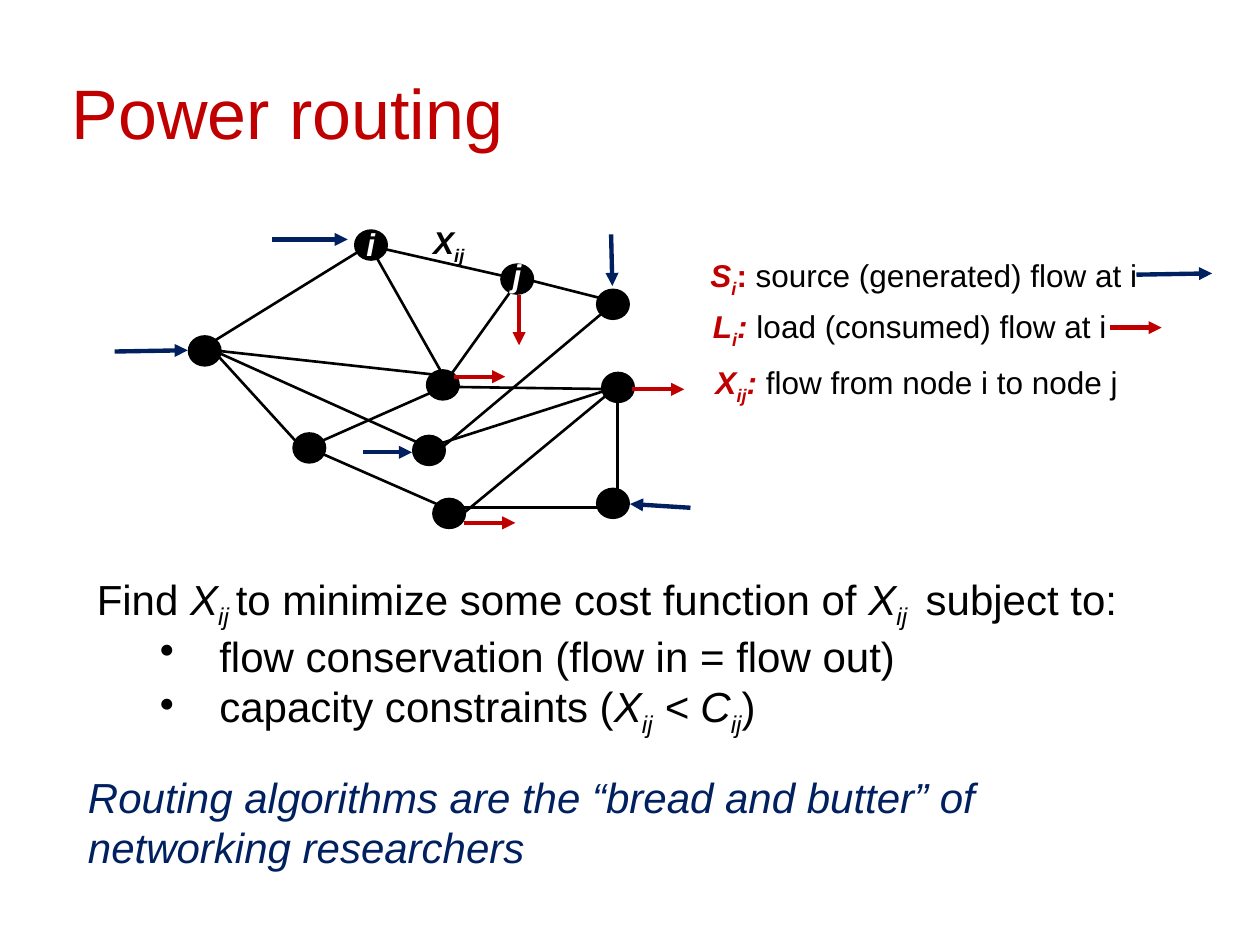
import dataclasses
import typing

import lxml.etree
import pptx
import pptx.dml.color
import pptx.enum.shapes
import pptx.enum.text
import pptx.oxml.ns
import pptx.util

Inches = pptx.util.Inches
Point = tuple[float, float]
Box = tuple[float, float, float, float]

COLORS = {"black": "000000", "white": "FFFFFF", "red": "C00000", "navy": "002060"}
NODE_WIDTH, NODE_HEIGHT = 0.27, 0.25


@dataclasses.dataclass(frozen=True)
class Run:
    text: str
    italic: typing.Optional[bool] = None
    bold: typing.Optional[bool] = None
    color: typing.Optional[str] = None
    subscript: bool = False


@dataclasses.dataclass(frozen=True)
class Paragraph:
    runs: tuple[Run, ...]
    bullet: bool = False


@dataclasses.dataclass(frozen=True)
class Line:
    start: Point
    end: Point
    color: str = "black"
    width: float = 1.5
    arrow: bool = False


@dataclasses.dataclass(frozen=True)
class Legend:
    position: Point
    width: float
    symbol: str
    index: str
    colon: Run
    meaning: str


def arrow(start: Point, end: Point, color: str) -> Line:
    return Line(start, end, color, 2.5, True)


def variable(letter: str, index: str) -> tuple[Run, Run]:
    return Run(letter, italic=True), Run(index, italic=True, subscript=True)


BACK_NODES = [
    (1.49, 2.66), (2.81, 1.82), (3.38, 2.93), (2.32, 3.43),
    (3.43, 3.95), (4.77, 2.95), (3.27, 3.45),
]
FRONT_NODES = [(4.73, 2.29), (4.73, 3.87)]
NODE_J = (3.97, 2.09)

EDGES = [
    Line((1.58, 2.78), (2.97, 1.92)),
    Line((2.89, 1.94), (4.17, 2.23)),
    Line((3.51, 3.07), (4.12, 2.22)),
    Line((3.51, 3.07), (4.97, 3.09)),
    Line((2.97, 2.01), (3.58, 3.09)),
    Line((2.44, 3.55), (3.48, 3.09)),
    Line((1.69, 2.78), (2.41, 3.57)),
    Line((3.61, 4.13), (4.87, 3.09)),
    Line((1.69, 2.78), (3.51, 2.98)),
    Line((1.69, 2.78), (3.4, 3.55)),
    Line((2.44, 3.55), (3.58, 4.05)),
    Line((3.4, 3.55), (4.9, 3.07)),
    Line((3.51, 3.55), (4.87, 2.41)),
    Line((3.51, 4.03), (4.9, 4.03)),
    Line((4.9, 3.07), (4.9, 4.03)),
    Line((4.15, 2.21), (4.9, 2.4)),
]

FLOWS = [
    arrow((0.91, 2.79), (1.49, 2.78), "navy"),
    arrow((2.16, 1.9), (2.76, 1.9), "navy"),
    arrow((2.88, 3.59), (3.27, 3.59), "navy"),
    arrow((4.85, 1.86), (4.86, 2.27), "navy"),
    arrow((5.48, 4.03), (5, 4), "navy"),
    arrow((4.12, 2.34), (4.12, 2.74), "red"),
    arrow((5.02, 3.09), (5.43, 3.09), "red"),
    arrow((3.6, 2.99), (4.01, 2.99), "red"),
    arrow((3.68, 4.15), (4.09, 4.15), "red"),
    arrow((9.02, 2.18), (9.62, 2.17), "navy"),
    arrow((8.81, 2.6), (9.22, 2.6), "red"),
]

LEGENDS = [
    Legend((5.54, 1.98), 3.73, "S", "i", Run(":", italic=False),
           " source (generated) flow at i"),
    Legend((5.56, 2.39), 3.38, "L", "i", Run(": "), "load (consumed) flow at i"),
    Legend((5.58, 2.83), 3.42, "X", "ij", Run(": "), "flow from node i to node j"),
]

PROBLEM = [
    Paragraph((Run("Find "), *variable("X", "ij "),
               Run("to minimize some cost function of "), *variable("X", "ij "),
               Run(" subject to:"))),
    Paragraph((Run(" flow conservation (flow in = flow out)"),), bullet=True),
    Paragraph((Run(" capacity constraints ("), *variable("X", "ij"),
               *variable(" < C", "ij"), Run(")")), bullet=True),
]


def rgb(name: str) -> pptx.dml.color.RGBColor:
    return pptx.dml.color.RGBColor.from_string(COLORS[name])


def add_element(parent, tag: str, **attributes: str) -> None:
    lxml.etree.SubElement(parent, pptx.oxml.ns.qn(tag), attributes)


def add_node(slide, position: Point) -> None:
    shape = slide.shapes.add_shape(
        pptx.enum.shapes.MSO_SHAPE.OVAL,
        *map(Inches, (*position, NODE_WIDTH, NODE_HEIGHT)))
    shape.shadow.inherit = False
    shape.fill.solid()
    shape.fill.fore_color.rgb = rgb("black")
    shape.line.fill.background()


def add_line(slide, line: Line) -> None:
    connector = slide.shapes.add_connector(
        pptx.enum.shapes.MSO_CONNECTOR.STRAIGHT,
        *map(Inches, (*line.start, *line.end)))
    connector.line.color.rgb = rgb(line.color)
    connector.line.width = pptx.util.Pt(line.width)
    properties = connector._element.spPr
    if line.arrow:
        outline = properties.find(pptx.oxml.ns.qn("a:ln"))
        add_element(outline, "a:tailEnd", type="triangle")
    add_element(properties, "a:effectLst")


def add_bullet(paragraph) -> None:
    paragraph.level = 1
    properties = paragraph._p.get_or_add_pPr()
    properties.set("marL", str(int(Inches(0.88))))
    properties.set("indent", str(int(Inches(-0.38))))
    add_element(properties, "a:buChar", char="•")


def add_text(slide, box: Box, paragraphs: typing.Sequence[Paragraph], *,
             size: float = 18, color: str = "black", bold: bool = False,
             italic: bool = False, wrap: bool = False,
             anchor=pptx.enum.text.MSO_ANCHOR.TOP) -> None:
    frame = slide.shapes.add_textbox(*map(Inches, box)).text_frame
    frame.word_wrap = wrap
    frame.vertical_anchor = anchor
    for number, content in enumerate(paragraphs):
        paragraph = frame.add_paragraph() if number else frame.paragraphs[0]
        if content.bullet:
            add_bullet(paragraph)
        for part in content.runs:
            run = paragraph.add_run()
            run.text = part.text
            run.font.name = "Arial"
            run.font.size = pptx.util.Pt(size)
            run.font.bold = bold if part.bold is None else part.bold
            run.font.italic = italic if part.italic is None else part.italic
            run.font.color.rgb = rgb(part.color or color)
            if part.subscript:
                run._r.get_or_add_rPr().set("baseline", "-25000")


def add_legend(slide, legend: Legend) -> None:
    meaning = Run(legend.meaning, italic=False, bold=False, color="black")
    runs = (*variable(legend.symbol, legend.index), legend.colon, meaning)
    add_text(slide, (*legend.position, legend.width, 0.4), [Paragraph(runs)],
             color="red", bold=True, italic=True)


def main() -> None:
    """Build the power routing slide."""
    presentation = pptx.Presentation()
    presentation.slide_width, presentation.slide_height = Inches(10), Inches(7.5)
    slide = presentation.slides.add_slide(presentation.slide_layouts[6])

    add_text(slide, (0.47, 0.26, 9, 1.25), [Paragraph((Run("Power routing"),))],
             size=40, color="red", wrap=True, anchor=pptx.enum.text.MSO_ANCHOR.MIDDLE)
    for position in BACK_NODES:
        add_node(slide, position)
    for edge in EDGES:
        add_line(slide, edge)
    for position in (*FRONT_NODES, NODE_J):
        add_node(slide, position)
    for line in FLOWS:
        add_line(slide, line)
    for legend in LEGENDS:
        add_legend(slide, legend)

    add_text(slide, (0.67, 4.5, 8.63, 1.31), PROBLEM, size=24, wrap=True)
    conclusion = Run("Routing algorithms are the “bread and butter” of networking researchers")
    add_text(slide, (0.6, 6.07, 8.63, 0.91), [Paragraph((conclusion,))],
             size=24, color="navy", italic=True, wrap=True)
    for name, position in (("i", (2.81, 1.74)), ("j", (3.97, 1.98))):
        add_text(slide, (*position, NODE_WIDTH, 0.4), [Paragraph((Run(name),))],
                 color="white", bold=True, italic=True)
    add_text(slide, (3.34, 1.72, 0.46, 0.4), [Paragraph(variable("X", "ij"))], bold=True)
    presentation.save("out.pptx")


if __name__ == "__main__":
    main()
